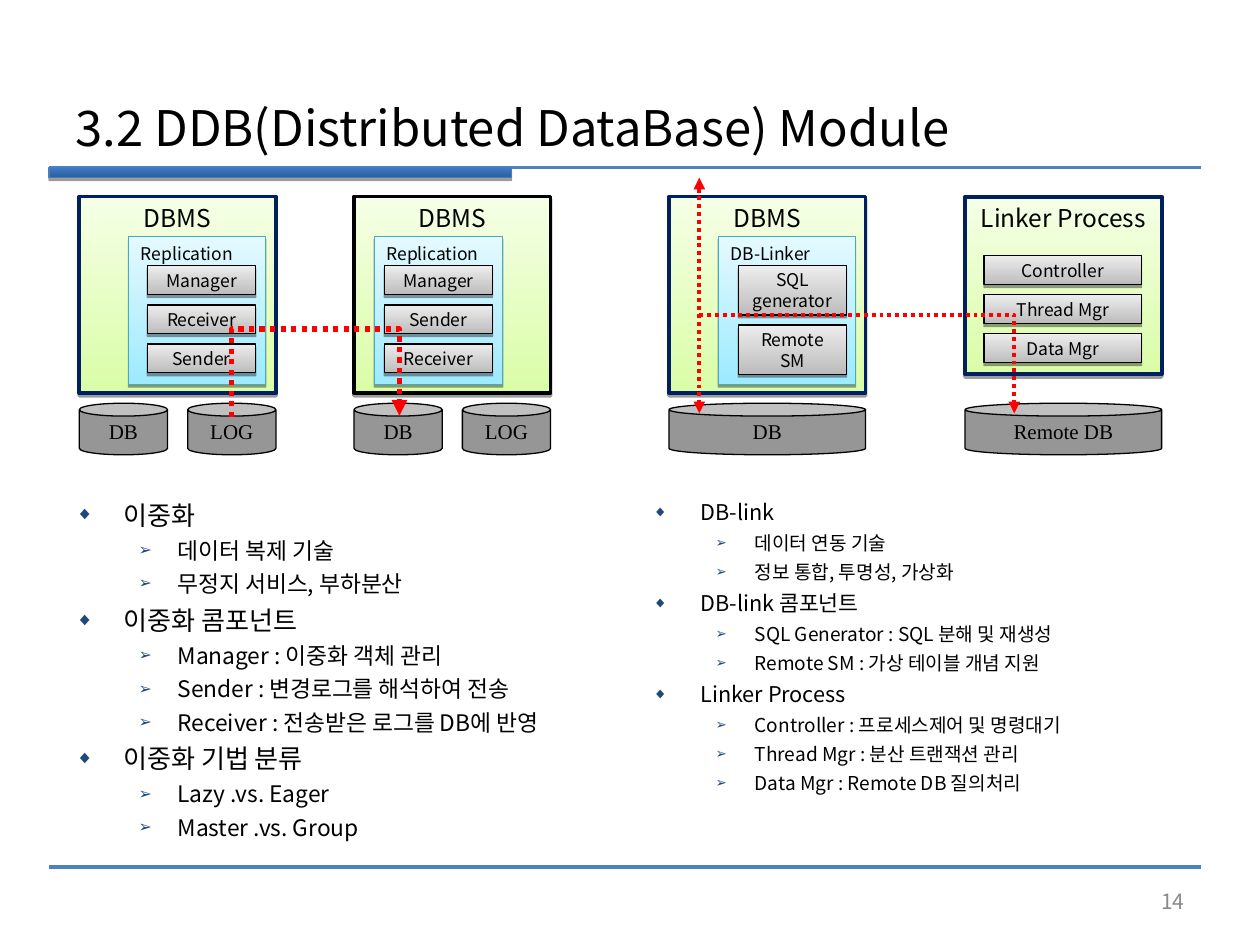
"""Build the slide on the distributed database module."""
import dataclasses

import lxml.etree
import pptx
import pptx.dml.color
import pptx.enum.dml
import pptx.enum.shapes
import pptx.enum.text
import pptx.oxml.ns
import pptx.util

Inches = pptx.util.Inches
Pt = pptx.util.Pt
SHAPE = pptx.enum.shapes.MSO_SHAPE
LINK = pptx.enum.shapes.MSO_CONNECTOR
ALIGN = pptx.enum.text.PP_ALIGN
ANCHOR = pptx.enum.text.MSO_ANCHOR


@dataclasses.dataclass(frozen=True)
class Theme:
    """Hold the fonts, colours and type sizes."""
    sans: str = "Noto Sans CJK KR"
    serif: str = "Times New Roman"
    black: str = "000000"
    navy: str = "002060"
    rule: str = "4F81BD"
    bullet: str = "1F497D"
    page: str = "898989"
    drum: str = "969696"
    route: str = "FF0000"
    green: tuple = ("DAFDA7", "F5FFE6")
    cyan: tuple = ("9EEAFF", "E4F9FF")
    gray: tuple = ("BCBCBC", "EDEDED")
    blue: tuple = ("2C5D98", "3A7CCB")
    teal: str = "46AAC5"
    edge: str = "4A7EBB"
    title: float = 28
    head: float = 14
    label: float = 12
    small: float = 10
    left: tuple = (14.9, 13)
    right: tuple = (12.4, 10.9)


THEME = Theme()

LEFT = [
    (0, "이중화"), (1, "데이터 복제 기술"), (1, "무정지 서비스, 부하분산"),
    (0, "이중화 콤포넌트"), (1, "Manager : 이중화 객체 관리"),
    (1, "Sender : 변경로그를 해석하여 전송"),
    (1, "Receiver : 전송받은 로그를 DB에 반영"),
    (0, "이중화 기법 분류"), (1, "Lazy .vs. Eager"), (1, "Master .vs. Group"),
]
RIGHT = [
    (0, "DB-link"), (1, "데이터 연동 기술"), (1, "정보 통합, 투명성, 가상화"),
    (0, "DB-link 콤포넌트"), (1, "SQL Generator : SQL 분해 및 재생성"),
    (1, "Remote SM : 가상 테이블 개념 지원"),
    (0, "Linker Process"), (1, "Controller : 프로세스제어 및 명령대기"),
    (1, "Thread Mgr : 분산 트랜잭션 관리"), (1, "Data Mgr : Remote DB 질의처리"),
]


def paint(text):
    """Turn a hex string into a colour."""
    return pptx.dml.color.RGBColor.from_string(text)


def apply(item, values):
    """Set every attribute in a dict of format values."""
    for name, value in values.items():
        setattr(item, name, value)


def node(parent, tag, **attrs):
    """Append a drawing element and return it."""
    child = lxml.etree.SubElement(parent, pptx.oxml.ns.qn(tag))
    for name, value in attrs.items():
        child.set(name, str(value))
    return child


def place(shape, left, top, width, height):
    """Move and size a shape in inches."""
    apply(shape, {"left": Inches(left), "top": Inches(top),
                  "width": Inches(width), "height": Inches(height)})


def write(para, text, size, color=THEME.black, face=THEME.sans):
    """Add one formatted run to a paragraph."""
    run = para.add_run()
    run.text = text
    apply(run.font, {"size": Pt(size), "name": face, "bold": False})
    run.font.color.rgb = paint(color)
    node(run._r.get_or_add_rPr(), "a:ea", typeface=face)


def fit(shape, anchor, wrap=True, side=0.1, edge=0.05):
    """Set the text frame's anchor, wrap and insets."""
    frame = shape.text_frame
    apply(frame, {"word_wrap": wrap, "vertical_anchor": anchor,
                  "auto_size": pptx.enum.text.MSO_AUTO_SIZE.NONE,
                  "margin_left": Inches(side), "margin_right": Inches(side),
                  "margin_top": Inches(edge), "margin_bottom": Inches(edge)})
    return frame


def block(slide, spot, colors, line, weight=0.75, text="", size=THEME.small,
          anchor=ANCHOR.MIDDLE, align=ALIGN.CENTER):
    """Draw a shaded rectangle with a drop shadow."""
    shape = slide.shapes.add_shape(SHAPE.RECTANGLE, *map(Inches, spot))
    shape.fill.gradient()
    shape.fill.gradient_angle = 90
    for stop, color in zip(shape.fill.gradient_stops, colors):
        stop.color.rgb = paint(color)
    shape.line.color.rgb = paint(line)
    shape.line.width = Pt(weight)
    shape.shadow.inherit = False
    effect = shape._element.spPr.find(pptx.oxml.ns.qn("a:effectLst"))
    shade = node(effect, "a:outerShdw", blurRad=0, dist=Pt(1.6), dir=5400000,
                 rotWithShape=0)
    node(node(shade, "a:srgbClr", val=THEME.black), "a:alpha", val=38000)
    frame = fit(shape, anchor)
    for row, part in enumerate(text.split("\n") if text else []):
        para = frame.add_paragraph() if row else frame.paragraphs[0]
        para.alignment = align
        write(para, part, size)


def panel(slide, left, height, text, line=THEME.navy):
    """Draw a green process box."""
    block(slide, (left, 1.56, 1.56, height), THEME.green, line, 2.25, text,
          THEME.head, ANCHOR.TOP)


def group(slide, left, width, text):
    """Draw a cyan module box."""
    block(slide, (left, 1.88, width, 1.17), THEME.cyan, THEME.teal, text=text,
          anchor=ANCHOR.TOP, align=ALIGN.LEFT)


def stack(slide, left, top, width, height, step, names):
    """Draw evenly spaced gray part boxes."""
    for row, name in enumerate(names):
        block(slide, (left, top + row * step, width, height), THEME.gray,
              THEME.black, text=name)


def drum(slide, left, width, text):
    """Draw a storage can."""
    shape = slide.shapes.add_shape(
        SHAPE.CAN, *map(Inches, (left, 3.2, width, 0.41)))
    shape.fill.solid()
    shape.fill.fore_color.rgb = paint(THEME.drum)
    shape.line.color.rgb = paint(THEME.black)
    shape.line.width = Pt(0.75)
    shape.shadow.inherit = False
    para = fit(shape, ANCHOR.MIDDLE, False, 0.09, 0.04).paragraphs[0]
    apply(para, {"alignment": ALIGN.CENTER, "line_spacing": 0.97})
    write(para, text, THEME.label, face=THEME.serif)


def link(slide, kind, start, end, color, weight):
    """Draw a plain connector between two points."""
    line = slide.shapes.add_connector(kind, *map(Inches, start + end))
    line.line.color.rgb = paint(color)
    line.line.width = Pt(weight)
    node(line._element.spPr, "a:effectLst")
    return line


def route(slide, kind, start, end, weight, bend=None, turn=0, both=False):
    """Draw a dotted red arrow, bent or turned if asked."""
    line = link(slide, kind, start, end, THEME.route, weight)
    line.line.dash_style = pptx.enum.dml.MSO_LINE.ROUND_DOT
    props = line._element.spPr
    if turn:
        props.xfrm.set("rot", str(turn * 60000))
    if bend is not None:
        guides = props.prstGeom.get_or_add_avLst()
        node(guides, "a:gd", name="adj1", fmla=f"val {round(bend * 100000)}")
    stroke = line.line._get_or_add_ln()
    if both:
        node(stroke, "a:headEnd", type="triangle")
    node(stroke, "a:tailEnd", type="triangle")


def listing(shape, left, rows, sizes):
    """Fill a body placeholder with a two-level list."""
    place(shape, left, 3.91, 4.42, 2.79)
    frame = fit(shape, ANCHOR.TOP)
    looks = [("◆", 0.38, -0.38, 4), ("➢", 0.81, -0.31, 3.5)]
    for row, (level, text) in enumerate(rows):
        para = frame.add_paragraph() if row else frame.paragraphs[0]
        mark, margin, indent, gap = looks[level]
        apply(para, {"level": level, "alignment": ALIGN.LEFT,
                     "line_spacing": 1.0,
                     "space_before": Pt(gap if row else 0)})
        props = para._p.get_or_add_pPr()
        props.set("marL", str(Inches(margin)))
        props.set("indent", str(Inches(indent)))
        node(node(props, "a:buClr"), "a:srgbClr", val=THEME.bullet)
        node(props, "a:buSzPct", val=70000)
        node(props, "a:buChar", char=mark)
        write(para, text, sizes[level])


def frame(slide):
    """Draw the rules, title and page number."""
    for top in (6.88, 1.33):
        link(slide, LINK.STRAIGHT, (0.39, top), (9.53, top), THEME.rule, 2)
    block(slide, (0.39, 1.33, 3.67, 0.08), THEME.blue, THEME.edge)
    title = slide.shapes.title
    place(title, 0.5, 0.7, 9, 0.62)
    para = fit(title, ANCHOR.MIDDLE).paragraphs[0]
    para.alignment = ALIGN.LEFT
    write(para, "3.2 DDB(Distributed DataBase) Module", THEME.title)
    page = slide.shapes.add_textbox(*map(Inches, (7.17, 6.95, 2.33, 0.4)))
    para = fit(page, ANCHOR.MIDDLE).paragraphs[0]
    para.alignment = ALIGN.RIGHT
    write(para, "14", THEME.label, THEME.page)


def copies(slide):
    """Draw the replication pair."""
    for left, line, inner, width, part, names in (
            (0.63, THEME.navy, 1.02, 1.09, 1.17, ("Receiver", "Sender")),
            (2.81, THEME.black, 2.97, 1.02, 3.05, ("Sender", "Receiver"))):
        panel(slide, left, 1.56, "DBMS", line)
        group(slide, inner, width, "Replication")
        stack(slide, part, 2.11, 0.86, 0.23, 0.31, ("Manager",) + names)
        drum(slide, left, 0.7, "DB")
        drum(slide, left + 0.86, 0.7, "LOG")
    route(slide, LINK.ELBOW, (2.51, 3.97), (2.5, 2.64), 3, 71, 90)


def linker(slide):
    """Draw the database link and its remote process."""
    panel(slide, 5.31, 1.56, "DBMS")
    group(slide, 5.7, 1.09, "DB-Linker")
    stack(slide, 5.86, 2.11, 0.86, 0.39, 0.47, ("SQL generator", "Remote\nSM"))
    drum(slide, 5.31, 1.56, "DB")
    panel(slide, 7.66, 1.41, "Linker Process")
    stack(slide, 7.81, 2.03, 1.25, 0.23, 0.31,
          ("Controller", "Thread Mgr", "Data Mgr"))
    drum(slide, 7.66, 1.56, "Remote DB")
    route(slide, LINK.STRAIGHT, (5.55, 1.41), (5.55, 3.28), 2.25, both=True)
    route(slide, LINK.ELBOW, (5.55, 2.5), (8.05, 3.28), 2.25, 1)


def main():
    """Build and save the slide."""
    deck = pptx.Presentation()
    apply(deck, {"slide_width": Inches(10), "slide_height": Inches(7.5)})
    slide = deck.slides.add_slide(deck.slide_layouts[3])
    frame(slide)
    listing(slide.placeholders[1], 0.5, LEFT, THEME.left)
    listing(slide.placeholders[2], 5.08, RIGHT, THEME.right)
    copies(slide)
    linker(slide)
    deck.save("out.pptx")


if __name__ == "__main__":
    main()
